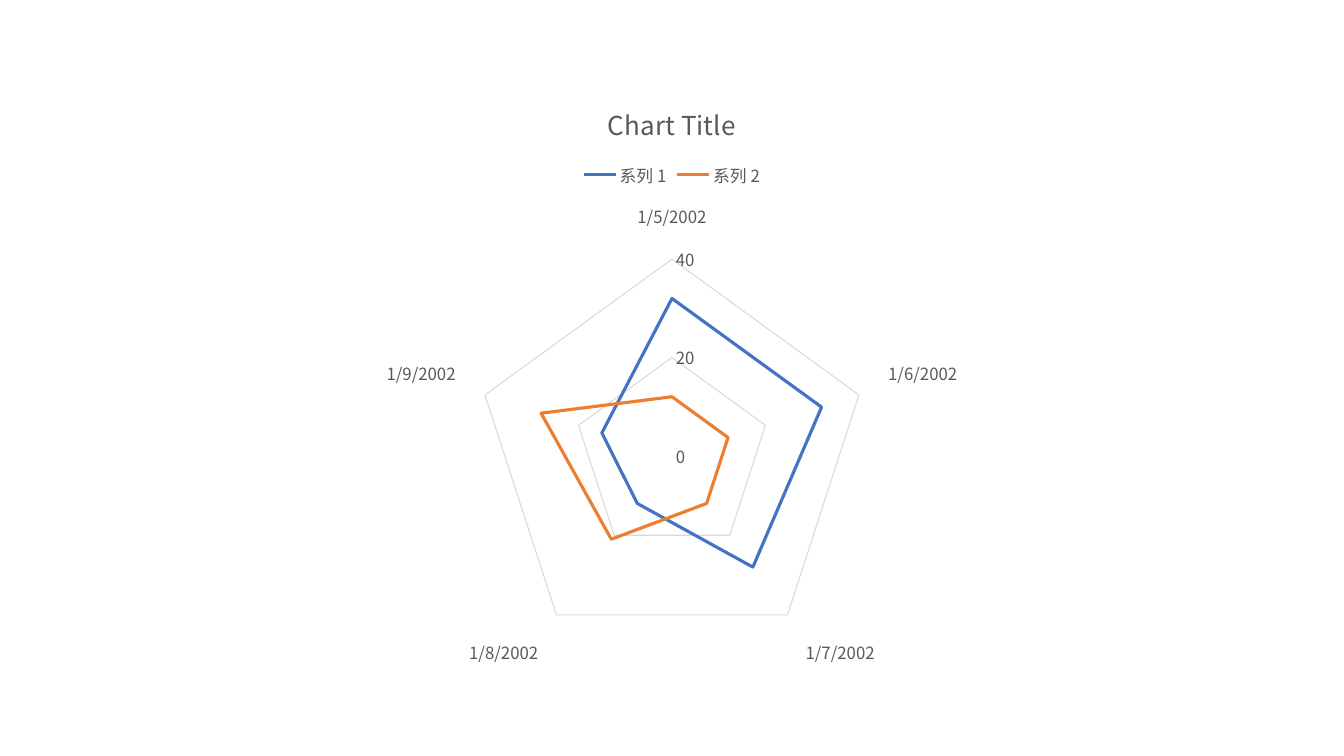
from pptx import Presentation
from pptx.chart.data import CategoryChartData
from pptx.dml.color import RGBColor
from pptx.enum.chart import XL_CHART_TYPE, XL_LEGEND_POSITION, XL_TICK_MARK
from pptx.util import Pt

PIXEL = 9071
FONT = "Noto Sans CJK SC"
GREY = RGBColor(0x59, 0x59, 0x59)
LIGHT_GREY = RGBColor(0xD9, 0xD9, 0xD9)
BLUE = RGBColor(0x44, 0x72, 0xC4)
ORANGE = RGBColor(0xED, 0x7D, 0x31)


def format_font(font, size):
    for name, value in {"name": FONT, "size": Pt(size), "bold": False}.items():
        setattr(font, name, value)
    font.color.rgb = GREY


def format_line(line, color, width):
    line.color.rgb = color
    line.width = Pt(width)


presentation = Presentation()
presentation.slide_width = 1344 * PIXEL
presentation.slide_height = 756 * PIXEL
slide = presentation.slides.add_slide(presentation.slide_layouts[6])

chart_data = CategoryChartData()
chart_data.categories = [f"1/{day}/2002" for day in range(5, 10)]
chart_data.add_series("系列 1", (32, 32, 28, 12, 15))
chart_data.add_series("系列 2", (12, 12, 12, 21, 28))
frame = [length * PIXEL for length in (224, 80, 896, 597)]
chart = slide.shapes.add_chart(XL_CHART_TYPE.RADAR, *frame, chart_data).chart
format_font(chart.font, 12)

chart.has_title = True
chart.chart_title.include_in_layout = False
title = chart.chart_title.text_frame
title.text = "Chart Title"
format_font(title.paragraphs[0].runs[0].font, 18.6)

chart.has_legend = True
chart.legend.position = XL_LEGEND_POSITION.TOP
chart.legend.include_in_layout = False
format_font(chart.legend.font, 12)

for axis in (chart.category_axis, chart.value_axis):
    axis.major_tick_mark = XL_TICK_MARK.NONE
    axis.minor_tick_mark = XL_TICK_MARK.NONE
    format_font(axis.tick_labels.font, 12)

chart.category_axis.has_major_gridlines = False
format_line(chart.category_axis.format.line, LIGHT_GREY, 0.75)
value_format = {"minimum_scale": 0, "maximum_scale": 40, "major_unit": 20, "has_major_gridlines": True}
for name, value in value_format.items():
    setattr(chart.value_axis, name, value)
chart.value_axis.format.line.fill.background()
format_line(chart.value_axis.major_gridlines.format.line, LIGHT_GREY, 0.75)

plot = chart.plots[0]
plot.vary_by_categories = False
for series, color in zip(plot.series, (BLUE, ORANGE)):
    format_line(series.format.line, color, 2.25)

presentation.save("out.pptx")
